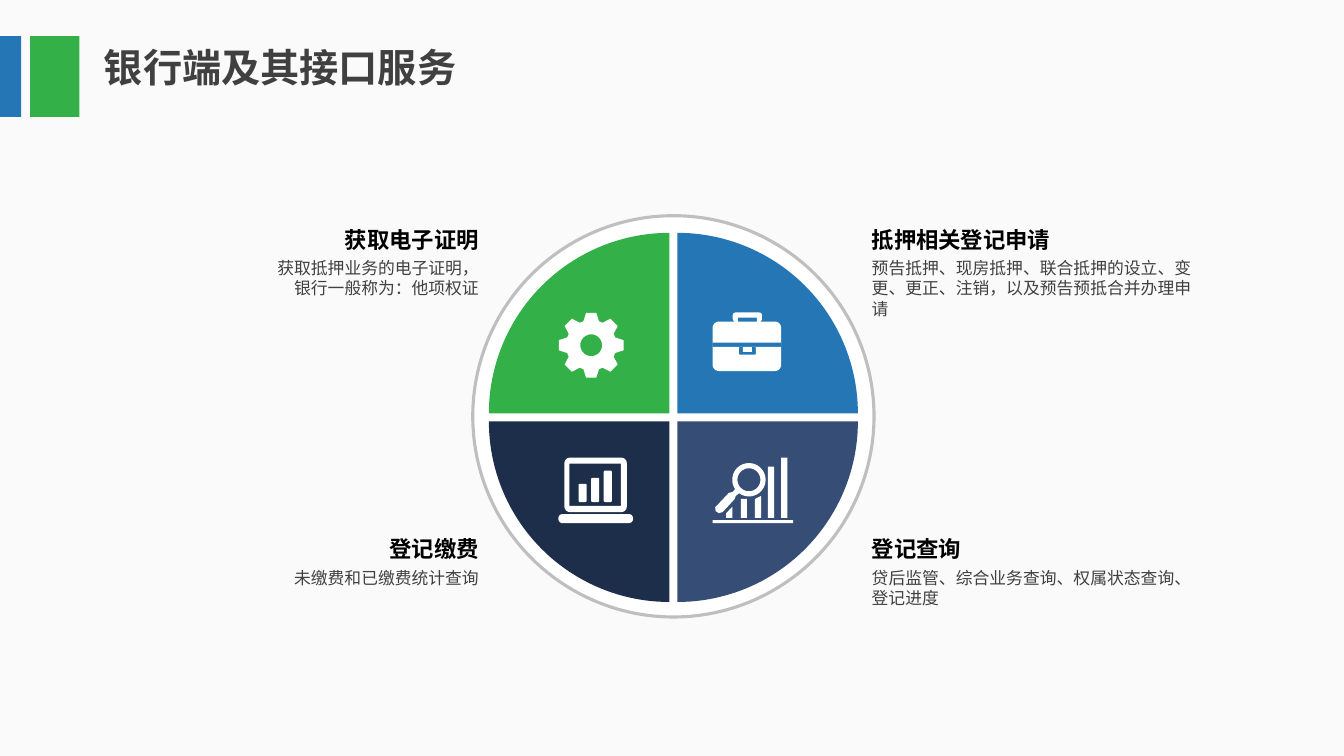
from math import cos, radians, sin

from lxml.etree import SubElement
from pptx import Presentation
from pptx.dml.color import RGBColor
from pptx.enum.shapes import MSO_SHAPE
from pptx.enum.text import MSO_ANCHOR, PP_ALIGN
from pptx.oxml.ns import qn
from pptx.util import Pt

FONT = "Noto Sans CJK SC"
COLORS = {
    "ground": "FAFAFA", "white": "FFFFFF", "ring": "BFBFBF",
    "text": "404040", "heading": "000000",
    "green": "33B048", "blue": "2576B5", "slate": "364D76", "navy": "1D2E4B",
}
TITLE = {"size": Pt(28), "bold": True, "color": "text"}
HEADING = {"size": Pt(16), "bold": True, "color": "heading"}
DETAIL = {"size": Pt(12), "bold": False, "color": "text"}
WEDGE_SIZE = 129
WEDGE_LEFTS = (349.2, 483.8)
WEDGE_TOPS = (166.3, 301)
TEXT_TOPS = (157.7, 378.7)
TEXT_LEFT_EDGE = 615.6
TEXT_RIGHT_EDGE = 349.2
QUADRANTS = [
    (0, 0, 0, "green", "获取电子证明", "获取抵押业务的电子证明，银行一般称为：他项权证", 170),
    (1, 0, 90, "blue", "抵押相关登记申请",
     "预告抵押、现房抵押、联合抵押的设立、变更、更正、注销，以及预告预抵合并办理申请", 242.6),
    (1, 1, 180, "slate", "登记查询", "贷后监管、综合业务查询、权属状态查询、登记进度", 242.6),
    (0, 1, 270, "navy", "登记缴费", "未缴费和已缴费统计查询", 242.6),
]


def rgb(name):
    return RGBColor.from_string(COLORS[name])


def polar(x, y, radius, angle):
    return x + radius * cos(radians(angle)), y + radius * sin(radians(angle))


def arc(x, y, radius, start=0, end=360, step=6):
    return [polar(x, y, radius, angle) for angle in range(start, end + 1, step)]


def panel(left, top, right, bottom, radius=0):
    if not radius:
        return [(left, top), (right, top), (right, bottom), (left, bottom)]
    corners = [(right - radius, bottom - radius), (left + radius, bottom - radius),
               (left + radius, top + radius), (right - radius, top + radius)]
    return [point for turn, (x, y) in enumerate(corners)
            for point in arc(x, y, radius, turn * 90, turn * 90 + 90, 15)]


def gear():
    x, y = 422.3, 246.6
    teeth = [polar(x, y, radius, tooth + offset) for tooth in range(0, 360, 45)
             for radius, offset in ((18, -18), (23.4, -9), (23.4, 9), (18, 18))]
    return [teeth, arc(x, y, 7.8)]


def briefcase():
    return [panel(509, 229.7, 558, 265, 4.5), panel(509, 244.8, 558, 247.7),
            panel(527.8, 247.7, 540, 253.4, 1), panel(530.6, 247.7, 537.1, 251.3),
            panel(523.4, 223.2, 544.3, 229.7, 2), panel(527, 226.8, 540.7, 229.7)]


def laptop():
    bars = [panel(413.3 + 9 * index, top, 419.1 + 9 * index, 358.6, 1)
            for index, top in enumerate((345.6, 341.3, 336.2))]
    return [panel(403.2, 326.9, 447.8, 365.8, 4), panel(406.8, 331.2, 443.5, 361.4),
            panel(398.9, 367.2, 452.2, 373.7, 3), *bars]


def magnifier():
    x, y = 535, 342.7
    handle = [(525.6, 354.2), (524.9, 356.4), (516.2, 365.8), (513.4, 366.5),
              (511.2, 365), (510.9, 362.4), (520.6, 352.1), (523.4, 351.4)]
    bars = [[(left, left_top), (left + 4.4, right_top), (left + 4.4, 370), (left, 370)]
            for left, left_top, right_top in
            ((518.8, 366.5, 362), (529.2, 356.4, 356.4), (539.3, 356.4, 354.2),
             (548.6, 333.4, 333.4), (558, 326.9, 326.9))]
    return [arc(x, y, 11.9, 146, 486, 5) + handle, arc(x, y, 8.2),
            panel(509, 371.5, 566.6, 373.7), *bars]


class SlideBuilder:
    def __init__(self, page):
        self.page = page
        fill = page.background.fill
        fill.solid()
        fill.fore_color.rgb = rgb("ground")

    def paint(self, shape, color, line=None):
        shape.shadow.inherit = False
        shape.fill.solid()
        shape.fill.fore_color.rgb = rgb(color)
        if line:
            shape.line.color.rgb = rgb(line)
            shape.line.width = Pt(2.25)
        else:
            shape.line.fill.background()

    def shape(self, kind, left, top, width, height, color, line=None, rotation=0):
        shape = self.page.shapes.add_shape(kind, Pt(left), Pt(top), Pt(width), Pt(height))
        shape.rotation = rotation
        self.paint(shape, color, line)

    def icon(self, contours):
        outlines = [[(Pt(x), Pt(y)) for x, y in contour] for contour in contours]
        builder = self.page.shapes.build_freeform(*outlines[0][0])
        builder.add_line_segments(outlines[0][1:])
        for outline in outlines[1:]:
            builder.move_to(*outline[0])
            builder.add_line_segments(outline[1:])
        self.paint(builder.convert_to_shape(), "white")

    def fill_text(self, box, words, style, align, anchor=MSO_ANCHOR.TOP):
        frame = box.text_frame
        frame.word_wrap = True
        frame.vertical_anchor = anchor
        para = frame.paragraphs[0]
        para.alignment = align
        para.line_spacing = 1.0
        span = para.add_run()
        span.text = words
        for name, value in {**style, "name": FONT}.items():
            if name == "color":
                span.font.color.rgb = rgb(value)
            else:
                setattr(span.font, name, value)
        SubElement(span.font._element, qn("a:ea"), typeface=FONT)

    def title(self, words, left, top, width, height):
        box = self.page.shapes.title
        place = {"left": left, "top": top, "width": width, "height": height}
        for name, value in place.items():
            setattr(box, name, Pt(value))
        self.fill_text(box, words, TITLE, PP_ALIGN.LEFT, MSO_ANCHOR.MIDDLE)

    def text(self, words, left, top, width, height, style, align):
        box = self.page.shapes.add_textbox(Pt(left), Pt(top), Pt(width), Pt(height))
        self.fill_text(box, words, style, align)

    def quadrant(self, column, row, rotation, color, heading, detail, width):
        self.shape(MSO_SHAPE.PIE_WEDGE, WEDGE_LEFTS[column], WEDGE_TOPS[row],
                   WEDGE_SIZE, WEDGE_SIZE, color, rotation=rotation)
        align = PP_ALIGN.JUSTIFY if column else PP_ALIGN.RIGHT
        top = TEXT_TOPS[row]
        for words, offset, span_width, height, style in (
                (detail, 23, width, 42, DETAIL), (heading, 0, 161.3, 30, HEADING)):
            left = TEXT_LEFT_EDGE if column else TEXT_RIGHT_EDGE - span_width
            self.text(words, left, top + offset, span_width, height, style, align)


def main():
    deck = Presentation()
    deck.slide_width, deck.slide_height = Pt(960), Pt(540)
    slide = SlideBuilder(deck.slides.add_slide(deck.slide_layouts[5]))
    slide.title("银行端及其接口服务", 67, 27.4, 283, 41)
    slide.shape(MSO_SHAPE.RECTANGLE, 21.6, 25.9, 35.2, 57.6, "green")
    slide.shape(MSO_SHAPE.RECTANGLE, 0, 25.9, 15.2, 57.6, "blue")
    slide.shape(MSO_SHAPE.OVAL, 337.7, 154.1, 286.6, 286.6, "white", "ring")
    for quadrant in QUADRANTS:
        slide.quadrant(*quadrant)
    for draw in (gear, briefcase, laptop, magnifier):
        slide.icon(draw())
    deck.save("out.pptx")


if __name__ == "__main__":
    main()
